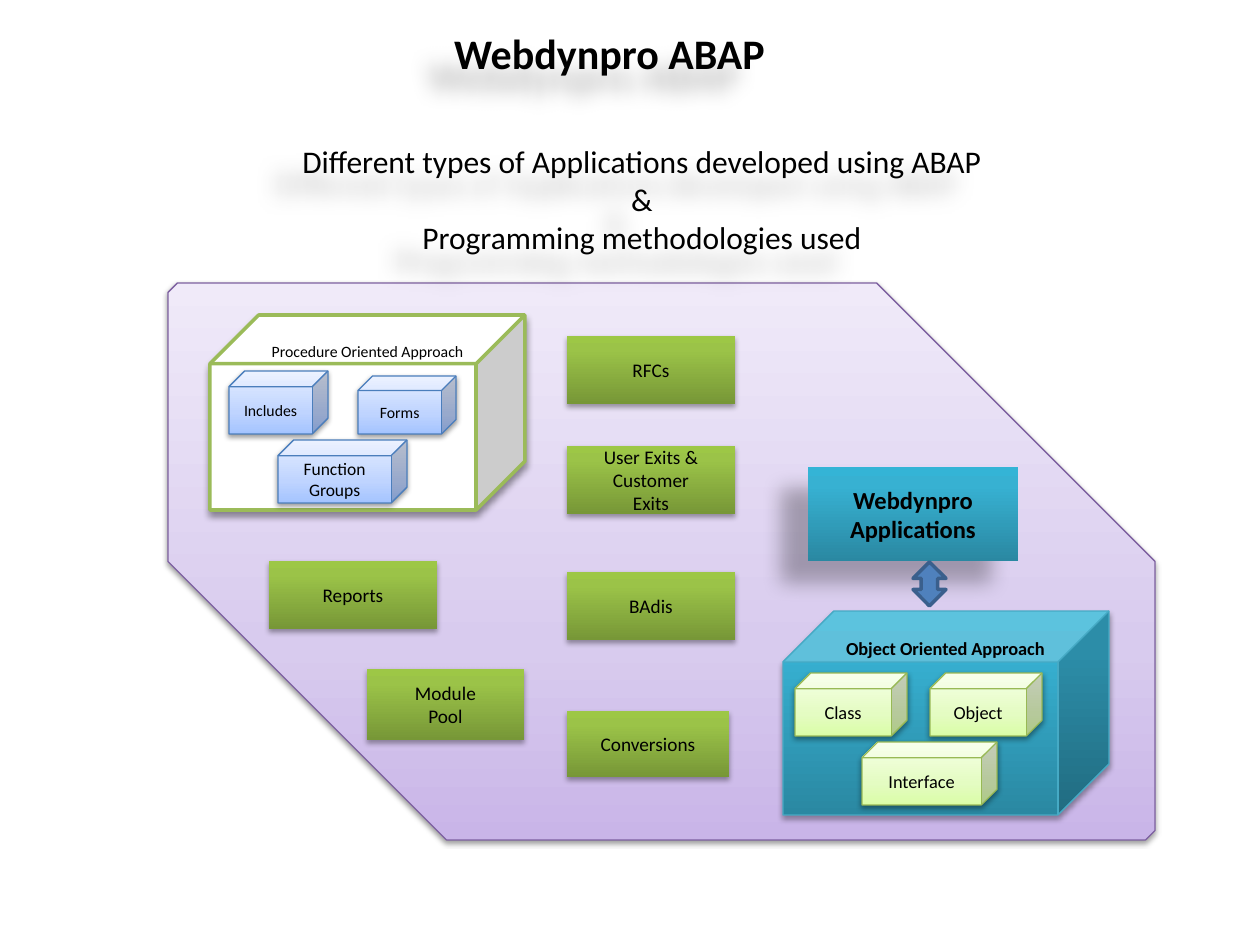
from lxml import etree
from pptx import Presentation
from pptx import util as u
from pptx.dml.color import RGBColor
from pptx.enum import shapes, text
from pptx.oxml.ns import qn

SCALE = 914400 / 126
KIND = shapes.MSO_SHAPE

BLACK = RGBColor(0x00, 0x00, 0x00)
WHITE = RGBColor(0xFF, 0xFF, 0xFF)
PURPLE_LINE = RGBColor(0x7D, 0x60, 0xA0)
GREEN_LINE = RGBColor(0x9B, 0xBB, 0x59)
LIME_LINE = RGBColor(0x98, 0xB9, 0x55)
BLUE_LINE = RGBColor(0x4B, 0x7E, 0xBC)
TEAL_LINE = RGBColor(0x46, 0xAA, 0xC5)
ARROW_FILL = RGBColor(0x4F, 0x81, 0xBD)
ARROW_LINE = RGBColor(0x3A, 0x5F, 0x8C)


def gradient(middle, *colors):
    """Stops from bottom to top, as (percent, colour) pairs."""
    return list(zip((0, middle, 100), map(RGBColor.from_string, colors)))


PURPLE = gradient(35, "C9B5E8", "D8CBEE", "F0EAF9")
BLUE = gradient(35, "A4C4FF", "BFD4FF", "E6EEFF")
LIME = gradient(35, "DAFDA7", "E4FCC2", "F5FFE7")
TEAL = gradient(80, "2A88A2", "37B1D2", "34B4D6")
GREEN = gradient(80, "779737", "9BC348", "9DC746")

# Shadows: opacity percent, blur points, distance points, direction degrees
SOFT = (38, 3.1, 1.6, 90)
STRONG = (35, 3.1, 1.8, 90)
DEEP = (40, 4, 3, 90)
FAR = (28, 11.8, 19.7, 141)

# Text, size, bold, (left, top, width, height), shadow
HEADINGS = [
    ("Different types of Applications developed using ABAP\n&\n"
     "Programming methodologies used", 18, False, (116, 136, 1052, 127), FAR),
    ("Webdynpro ABAP", 24, True, (410, 21, 399, 63), FAR),
]
# Box, fill, line, line width, shadow, lid label, size, bold, small cubes
APPROACHES = [
    ((210, 315, 315, 195), WHITE, GREEN_LINE, 2, DEEP,
     "Procedure Oriented Approach", 9, False, (BLUE, BLUE_LINE, [
         ("Includes", 9, (229, 371, 99, 63)),
         ("Forms", 9, (358, 376, 98, 58)),
         ("Function Groups", 10, (278, 440, 129, 63))])),
    ((783, 611, 326, 204), TEAL, TEAL_LINE, 0.75, STRONG,
     "Object Oriented Approach", 10.5, True, (LIME, LIME_LINE, [
         ("Class", 10.5, (795, 673, 112, 63)),
         ("Object", 10.5, (930, 673, 112, 63)),
         ("Interface", 10.5, (862, 742, 135, 63))])),
]
APPLICATIONS = [
    ("Reports", (269, 561, 168, 68)),
    ("Module Pool", (367, 669, 157, 71)),
    ("Conversions", (567, 711, 162, 66)),
    ("BAdis", (567, 572, 168, 68)),
    ("User Exits & Customer Exits", (567, 446, 168, 68)),
    ("RFCs", (567, 336, 168, 68)),
]


def emu(box):
    return [u.Emu(round(length * SCALE)) for length in box]


def add_shadow(shape, shadow):
    shape.shadow.inherit = False
    if shadow is None:
        return
    opacity, blur, distance, direction = shadow
    effects = shape._element.spPr.find(qn("a:effectLst"))
    outer = etree.SubElement(
        effects, qn("a:outerShdw"), blurRad=str(u.Pt(blur)), dist=str(u.Pt(distance)),
        dir=str(direction * 60000), algn="ctr", rotWithShape="0")
    color = etree.SubElement(outer, qn("a:srgbClr"), val=str(BLACK))
    etree.SubElement(color, qn("a:alpha"), val=str(opacity * 1000))


def set_fill(shape, fill):
    if isinstance(fill, RGBColor):
        shape.fill.solid()
        shape.fill.fore_color.rgb = fill
        return
    shape.fill.gradient()
    shape.fill.gradient_angle = 90
    stops = shape._element.spPr.find(qn("a:gradFill")).find(qn("a:gsLst"))
    for stop in list(stops):
        stops.remove(stop)
    for percent, color in fill:
        stop = etree.SubElement(stops, qn("a:gs"), pos=str(percent * 1000))
        etree.SubElement(stop, qn("a:srgbClr"), val=str(color))


def set_text(shape, words, size, bold=False):
    frame = shape.text_frame
    frame.word_wrap = True
    frame.text = words
    for para in frame.paragraphs:
        para.alignment = text.PP_ALIGN.CENTER
        for span in para.runs:
            span.font.name = "Calibri"
            span.font.size = u.Pt(size)
            span.font.bold = bold
            span.font.color.rgb = BLACK


def add_block(page, kind, box, fill, line=None, width=0.75, shadow=SOFT):
    block = page.shapes.add_shape(kind, *emu(box))
    set_fill(block, fill)
    if line is None:
        block.line.fill.background()
    else:
        block.line.color.rgb = line
        block.line.width = u.Pt(width)
    add_shadow(block, shadow)
    return block


def add_label(page, words, size, bold, box, shadow=None):
    label = page.shapes.add_textbox(*emu(box))
    set_text(label, words, size, bold)
    if shadow:
        add_shadow(label, shadow)
    return label


def add_approach(page, box, fill, line, width, shadow, title, size, bold, parts):
    add_block(page, KIND.CUBE, box, fill, line, width, shadow)
    left, top, wide, high = box
    lid = high // 4
    label = add_label(page, title, size, bold, (left + lid // 2, top + lid // 4, wide - lid, lid))
    label.text_frame.vertical_anchor = text.MSO_ANCHOR.MIDDLE
    part_fill, part_line, cubes = parts
    for words, part_size, part_box in cubes:
        cube = add_block(page, KIND.CUBE, part_box, part_fill, part_line)
        set_text(cube, words, part_size)


def main():
    deck = Presentation()
    deck.slide_width, deck.slide_height = u.Inches(10), u.Inches(7.5)
    page = deck.slides.add_slide(deck.slide_layouts[6])

    panel = add_block(page, KIND.SNIP_2_DIAG_RECTANGLE, (168, 283, 987, 557), PURPLE, PURPLE_LINE)
    panel.adjustments[0], panel.adjustments[1] = 0.017, 0.5
    for approach in APPROACHES:
        add_approach(page, *approach)

    process = KIND.FLOWCHART_PREDEFINED_PROCESS
    for words, box in APPLICATIONS:
        set_text(add_block(page, process, box, GREEN, shadow=STRONG), words, 11)
    webdynpro = add_block(page, process, (808, 467, 210, 94), TEAL, shadow=FAR)
    set_text(webdynpro, "Webdynpro Applications", 14, True)

    for heading in HEADINGS:
        add_label(page, *heading)
    add_block(page, KIND.UP_DOWN_ARROW, (913, 562, 33, 44), ARROW_FILL, ARROW_LINE, 2, None)
    deck.save("out.pptx")


if __name__ == "__main__":
    main()
